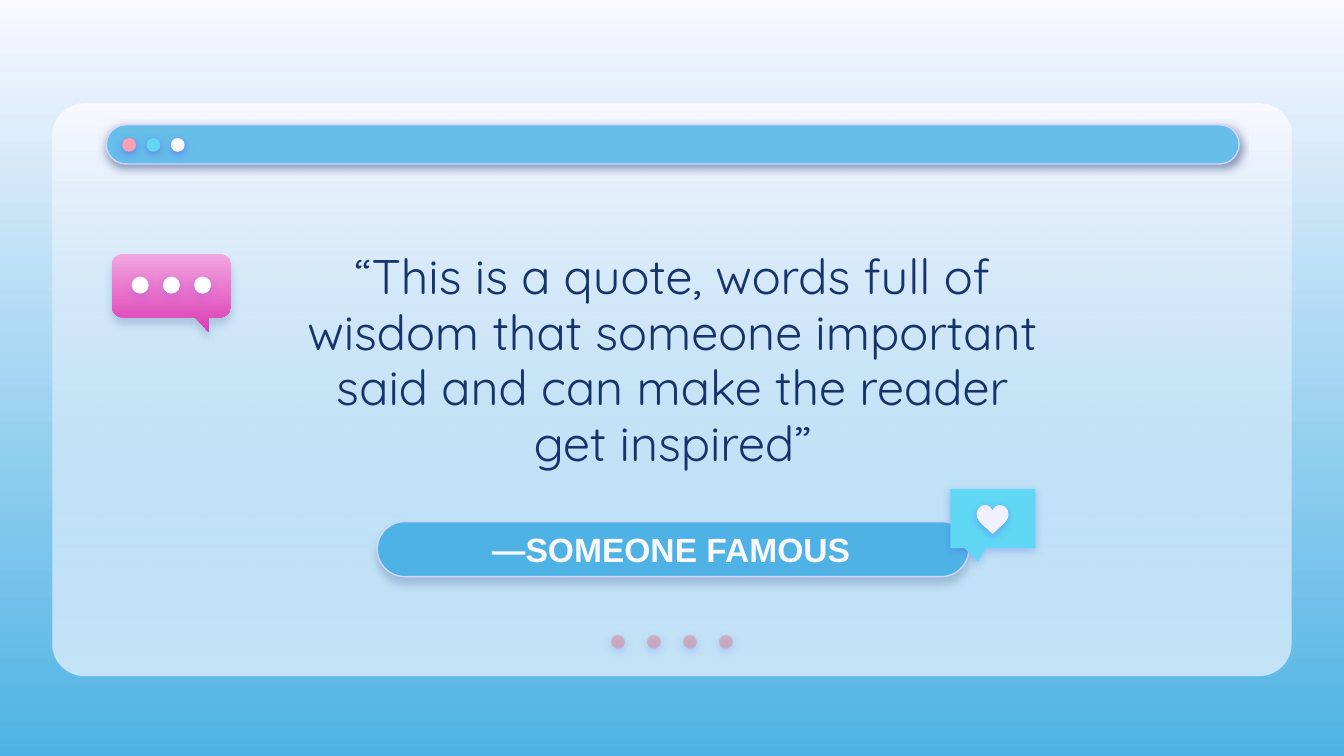
"""Build a quote slide with a browser-style panel and chat bubbles."""
from math import cos, pi, sin

from lxml.etree import SubElement
from pptx import Presentation
from pptx.dml.color import RGBColor
from pptx.enum.shapes import MSO_SHAPE
from pptx.enum.text import MSO_ANCHOR, PP_ALIGN
from pptx.oxml.ns import qn
from pptx.util import Cm, Pt

SNOW, SKY, NAVY, VIOLET = "F9F8FF", "4EB3E4", "17336B", "5352EE"
DOT_SHADOW = (VIOLET, 50, 1.5)

PANEL = (0.99, 1.96, 23.42, 10.82)
BAR = (2.01, 2.36, 21.41, 0.74)
PILL = (7.13, 9.86, 11.18, 1.04)
CALLOUT = (17.96, 9.24, 1.61, 1.12)
BUBBLE = (2.11, 4.8, 4.37, 6.0)
BUBBLE_TAIL = [(3.95, 6.0), (3.95, 6.28), (3.69, 6.0)]
BUBBLE_RADIUS = 0.22
HEART_AT = (18.76, 9.55)
HEART_HALF = [
    [(0, 0.1), (-0.02, 0.06), (-0.06, 0), (-0.14, 0)],
    [(-0.14, 0), (-0.23, 0), (-0.3, 0.08), (-0.3, 0.17)],
    [(-0.3, 0.17), (-0.3, 0.28), (-0.21, 0.36), (-0.1, 0.45)],
    [(-0.1, 0.45), (-0.06, 0.49), (-0.03, 0.52), (0, 0.54)],
]

PAGE_DOTS = dict(x=11.68, y=12.13, step=0.68, size=0.26, colors=["E27B83"] * 4, alpha=44)
BAR_DOTS = dict(x=2.44, y=2.74, step=0.46, size=0.26, colors=["FDA0B4", "60D8F4", SNOW])
BUBBLE_DOTS = dict(x=2.65, y=5.39, step=0.59, size=0.32, colors=["FFFFFF"] * 3,
                   shadow=(VIOLET, 18, 1.5))

TEXTS = [
    ("—SOMEONE FAMOUS", (7.95, 9.98, 9.47, 0.81),
     dict(name="Arial", size=Pt(18), bold=True), SNOW, {}),
    ("“This is a quote, words full of wisdom that someone important said "
     "and can make the reader get inspired”", (5.31, 4.06, 14.81, 5.54),
     dict(name="Quicksand", size=Pt(26)), NAVY,
     dict(space_after=Pt(12), line_spacing=0.96)),
]


def rgb(value):
    return RGBColor.from_string(value)


def set_attrs(obj, values):
    for name, value in values.items():
        setattr(obj, name, value)


def set_alpha(element, percent):
    color = list(element.iter(qn("a:srgbClr")))[-1]
    SubElement(color, qn("a:alpha"), val=str(percent * 1000))


def set_gradient(fill, colors):
    fill.gradient()
    fill.gradient_angle = 270
    for stop, color in zip(fill.gradient_stops, colors):
        stop.color.rgb = rgb(color)


def style(sp, fill, alpha=None, line=None, shadow=None):
    if isinstance(fill, tuple):
        set_gradient(sp.fill, fill)
    else:
        sp.fill.solid()
        sp.fill.fore_color.rgb = rgb(fill)
    if alpha:
        set_alpha(sp._element.spPr, alpha)
    if line:
        sp.line.color.rgb = rgb(line)
        sp.line.width = Pt(0.75)
    else:
        sp.line.fill.background()
    sp.shadow.inherit = False
    if shadow:
        color, opacity, dist = shadow
        effects = sp._element.spPr.find(qn("a:effectLst"))
        outer = SubElement(effects, qn("a:outerShdw"), blurRad=str(Pt(4.5)),
                           dist=str(Pt(dist)), dir="5400000", algn="bl", rotWithShape="0")
        SubElement(outer, qn("a:srgbClr"), val=color)
        set_alpha(effects, opacity)


def add_preset(s, kind, box, adj=(), **look):
    sp = s.shapes.add_shape(kind, *map(Cm, box))
    for i, value in enumerate(adj):
        sp.adjustments[i] = value
    style(sp, **look)


def add_dots(s, x, y, step, size, colors, alpha=None, shadow=DOT_SHADOW):
    for i, color in enumerate(colors):
        box = (x + i * step - size / 2, y - size / 2, size, size)
        add_preset(s, MSO_SHAPE.OVAL, box, fill=color, alpha=alpha, shadow=shadow)


def add_outline(s, points, **look):
    points = [(Cm(x), Cm(y)) for x, y in points]
    builder = s.shapes.build_freeform(*points[0])
    builder.add_line_segments(points[1:], close=True)
    style(builder.convert_to_shape(), **look)


def bezier(curve, steps=10):
    for i in range(steps):
        t = i / steps
        weights = ((1 - t) ** 3, 3 * t * (1 - t) ** 2, 3 * t * t * (1 - t), t ** 3)
        yield tuple(sum(w * p[k] for w, p in zip(weights, curve)) for k in (0, 1))


def heart_points():
    half = [p for curve in HEART_HALF for p in bezier(curve)] + [HEART_HALF[-1][-1]]
    full = half + [(-x, y) for x, y in half[-2:0:-1]]
    return [(HEART_AT[0] + x, HEART_AT[1] + y) for x, y in full]


def bubble_points(steps=8):
    left, top, right, bottom = BUBBLE
    r = BUBBLE_RADIUS
    centers = [(left + r, top + r), (right - r, top + r),
               (right - r, bottom - r), (left + r, bottom - r)]
    points = []
    for corner, (x, y) in enumerate(centers):
        if corner == 3:
            points += BUBBLE_TAIL
        for i in range(steps + 1):
            angle = pi + (corner + i / steps) * pi / 2
            points.append((x + r * cos(angle), y + r * sin(angle)))
    return points


def add_text(s, text, box, font, color, para):
    tf = s.shapes.add_textbox(*map(Cm, box)).text_frame
    set_attrs(tf, dict(word_wrap=True, vertical_anchor=MSO_ANCHOR.MIDDLE))
    set_attrs(tf, {f"margin_{side}": Cm(0.25) for side in ("left", "top", "right", "bottom")})
    p = tf.paragraphs[0]
    set_attrs(p, dict(alignment=PP_ALIGN.CENTER, **para))
    r = p.add_run()
    r.text = text
    set_attrs(r.font, font)
    r.font.color.rgb = rgb(color)


def main():
    prs = Presentation()
    prs.slide_width, prs.slide_height = Cm(25.4), Cm(14.29)
    s = prs.slides.add_slide(prs.slide_layouts[6])
    set_gradient(s.background.fill, (SNOW, SKY))

    rounded = MSO_SHAPE.ROUNDED_RECTANGLE
    add_preset(s, rounded, PANEL, [0.056], fill=SNOW)
    add_preset(s, rounded, PANEL, [0.056], fill=(SNOW, "66BEE9"), alpha=35)
    add_dots(s, **PAGE_DOTS)
    add_preset(s, rounded, BAR, [0.5], fill="66BEE9", line="D2D6FF", shadow=(NAVY, 50, 1.5))
    add_dots(s, **BAR_DOTS)
    add_preset(s, rounded, PILL, [0.5], fill=SKY, line="D2D6FF", shadow=(NAVY, 22, 3))
    for item in TEXTS:
        add_text(s, *item)
    add_preset(s, MSO_SHAPE.ROUNDED_RECTANGULAR_CALLOUT, CALLOUT, [-0.174, 0.731, 0],
               fill="60D8F4", shadow=(VIOLET, 31, 1.5))
    add_outline(s, heart_points(), fill="F1F0FF", shadow=(VIOLET, 38, 1.5))
    add_outline(s, bubble_points(), fill=("F3A7E0", "DC3BB4"), shadow=(NAVY, 18, 3.8))
    add_dots(s, **BUBBLE_DOTS)
    prs.save("out.pptx")


if __name__ == "__main__":
    main()
